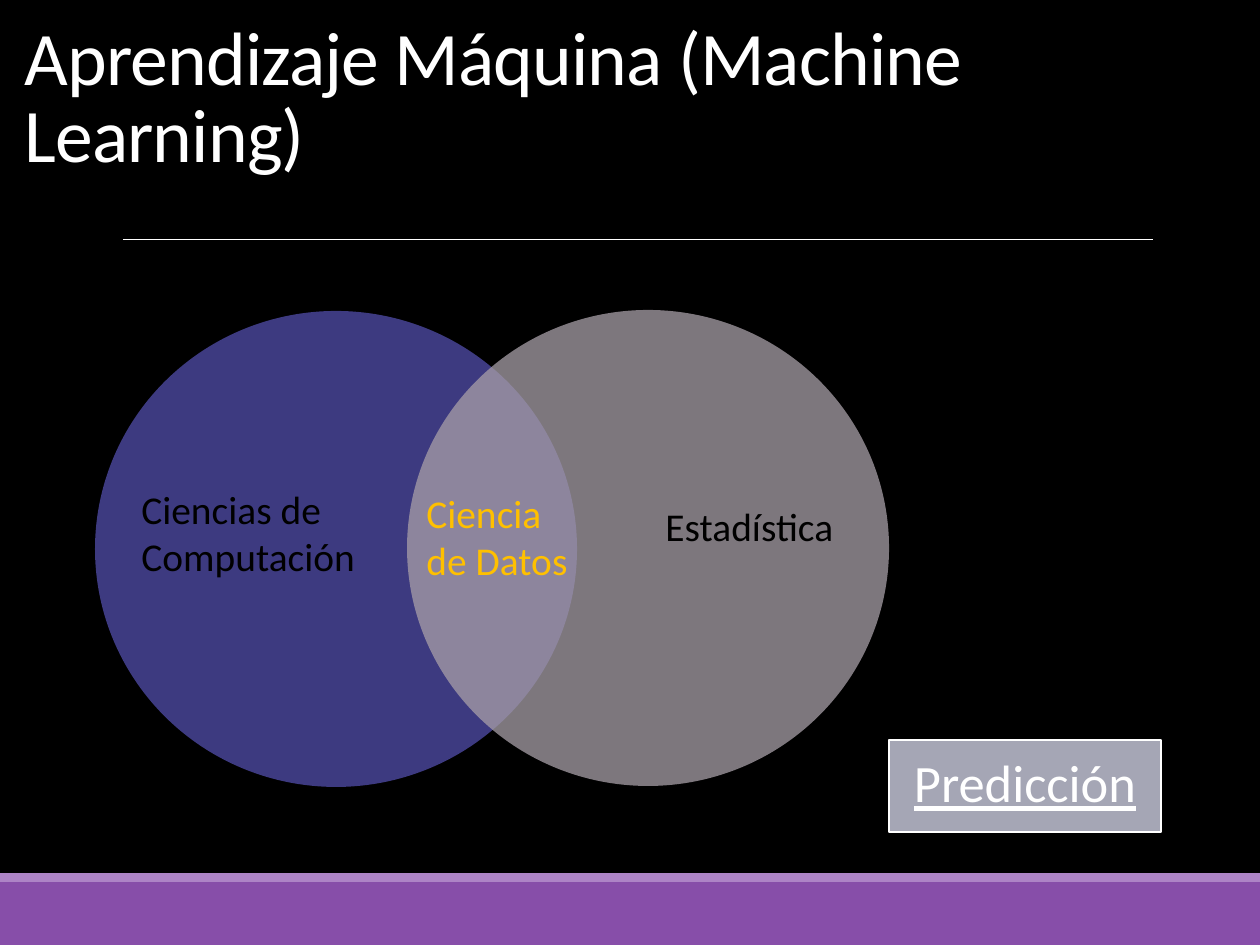
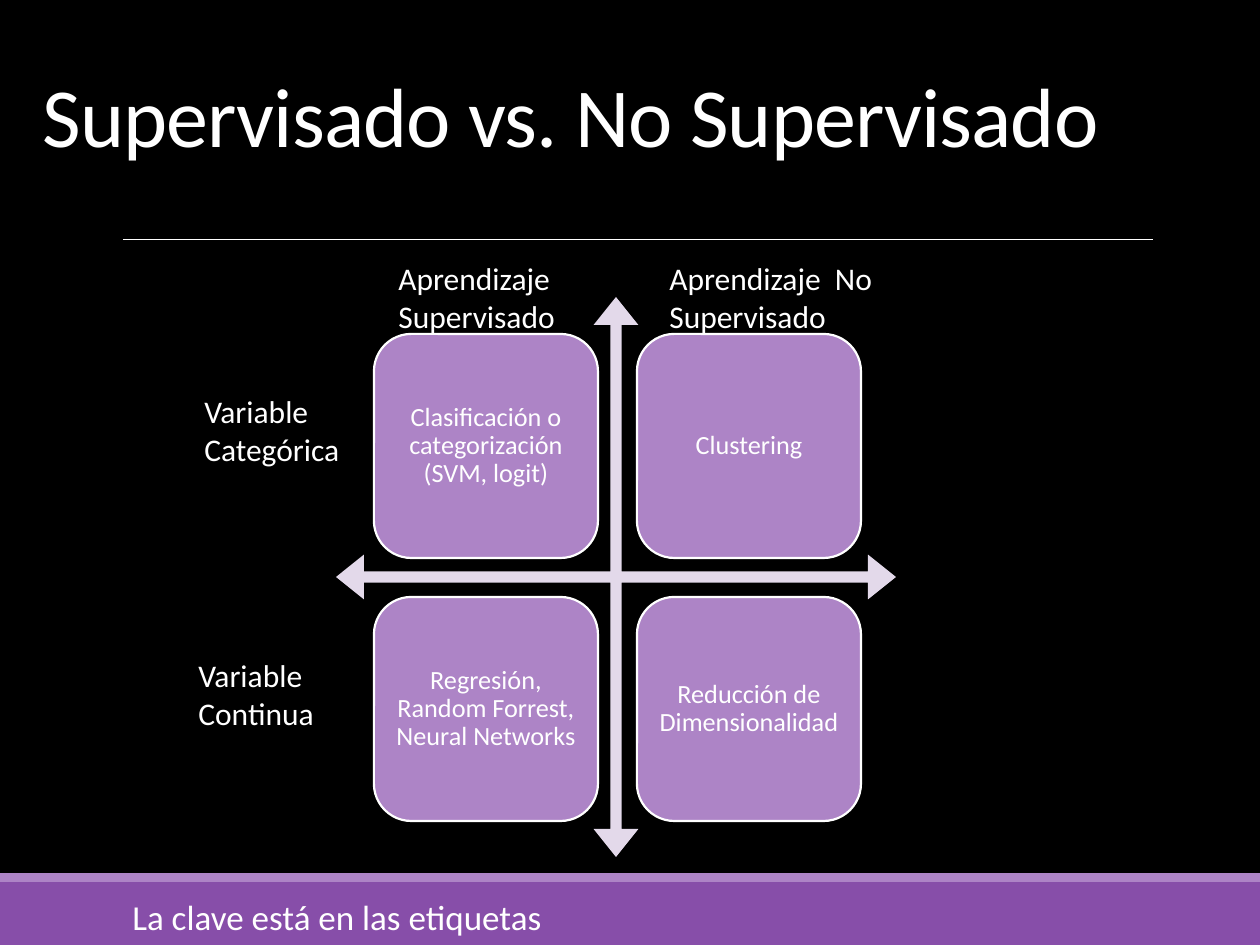
import pptx
import pptx.dml.color
import pptx.enum.dml
import pptx.enum.shapes
import pptx.enum.text
import pptx.oxml.ns
import pptx.util
from lxml import etree

RGB = pptx.dml.color.RGBColor
BLACK = RGB(0x00, 0x00, 0x00)
WHITE = RGB(0xFF, 0xFF, 0xFF)
GOLD = RGB(0xFF, 0xC0, 0x00)
PURPLE = RGB(0x87, 0x4E, 0xA9)
LILAC = RGB(0xAD, 0x84, 0xC6)
PALE = RGB(0xE3, 0xD9, 0xEA)
INDIGO = RGB(0x52, 0x4E, 0xAB)
GREY = RGB(0xA8, 0x9F, 0xA8)
STEEL = RGB(0xA5, 0xA6, 0xB5)

FONT = "Calibri"
SCALE = 914400 / 126
WIDE, HIGH = 1260, 945
KIND = pptx.enum.shapes.MSO_SHAPE
ALIGN = pptx.enum.text.PP_ALIGN
ANCHOR = pptx.enum.text.MSO_ANCHOR
FIT = pptx.enum.text.MSO_AUTO_SIZE
SIDES = ("margin_left", "margin_top", "margin_right", "margin_bottom")


def px(num):
    return pptx.util.Emu(round(num * SCALE))


def apply(item, values):
    for name, value in values.items():
        setattr(item, name, value)


def place(item, box):
    apply(item, dict(zip(("left", "top", "width", "height"), map(px, box))))


def write(shape, text, size, color, frame, para, **font):
    body = shape.text_frame
    body.text = text
    apply(body, {"word_wrap": True, **frame})
    line = body.paragraphs[0]
    apply(line, para)
    run = line.runs[0]
    apply(run.font, {"name": FONT, "size": pptx.util.Pt(size), **font})
    run.font.color.rgb = color
    return run


def draw(slide, kind, box, fill, edge=None):
    shape = slide.shapes.add_shape(kind, *map(px, box))
    shape.shadow.inherit = False
    shape.fill.solid()
    shape.fill.fore_color.rgb = fill
    if edge is None:
        shape.line.fill.background()
    else:
        shape.line.color.rgb = edge
        shape.line.width = pptx.util.Pt(1.25)
    return shape


def disc(slide, box, fill):
    shape = draw(slide, KIND.OVAL, box, fill)
    color = shape.fill._xPr.find(".//" + pptx.oxml.ns.qn("a:srgbClr"))
    etree.SubElement(color, pptx.oxml.ns.qn("a:alpha"), val="75000")


def label(slide, box, text, size, color=WHITE):
    shape = slide.shapes.add_textbox(*map(px, box))
    write(shape, text, size, color, {"auto_size": FIT.SHAPE_TO_FIT_TEXT},
          {"alignment": ALIGN.LEFT})


def panel(slide, kind, box, fill, text, size, inset, align, **font):
    shape = draw(slide, kind, box, fill, WHITE)
    frame = dict(zip(SIDES, map(px, inset)), vertical_anchor=ANCHOR.MIDDLE)
    write(shape, text, size, WHITE, frame,
          {"alignment": align, "line_spacing": 0.9}, **font)


def rule(slide, start, end):
    line = slide.shapes.add_connector(
        pptx.enum.shapes.MSO_CONNECTOR.STRAIGHT, *map(px, start + end))
    line.line.color.rgb = WHITE
    line.line.width = pptx.util.Pt(0.5)
    etree.SubElement(line._element.spPr, pptx.oxml.ns.qn("a:effectLst"))


def start(deck, text, box, size):
    slide = deck.slides.add_slide(deck.slide_layouts[5])
    slide.background.fill.solid()
    slide.background.fill.fore_color.rgb = BLACK
    draw(slide, KIND.RECTANGLE, (0, 882, WIDE, 63), PURPLE)
    draw(slide, KIND.RECTANGLE, (0, 873, WIDE, 9), LILAC)
    rule(slide, (123, 239), (1153, 239))
    title = slide.shapes.title
    place(title, box)
    run = write(title, text, size, WHITE,
                {"auto_size": FIT.NONE, "vertical_anchor": ANCHOR.BOTTOM},
                {"alignment": ALIGN.LEFT, "line_spacing": 0.85})
    run._r.get_or_add_rPr().set("spc", "-50")
    return slide


def venn(deck):
    slide = start(deck, "Aprendizaje Máquina (Machine Learning)",
                  (12, 47, 1237, 137), 43.2)
    disc(slide, (95, 311, 482, 476), INDIGO)
    disc(slide, (407, 310, 482, 476), GREY)
    for box, text, color in (
        ((129, 479, 242, 108), "Ciencias de Computación", BLACK),
        ((653, 496, 220, 60), "Estadística", BLACK),
        ((414, 483, 174, 108), "Ciencia de Datos", GOLD),
    ):
        label(slide, box, text, 22.5, color)
    panel(slide, KIND.RECTANGLE, (889, 740, 272, 92), STEEL, "Predicción",
          30, (25, 0, 5, 0), ALIGN.LEFT, underline=True)


def matrix(deck):
    slide = start(deck, "Supervisado vs. No Supervisado",
                  (30, 24, 1120, 147), 48)
    cross = draw(slide, KIND.QUAD_ARROW, (336, 297, 560, 560), PALE)
    for index, value in enumerate((0.02, 0.04, 0.05)):
        cross.adjustments[index] = value
    cards = ("Clasificación o categorización (SVM, logit)", "Clustering",
             "Regresión, Random Forrest, Neural Networks",
             "Reducción de Dimensionalidad")
    side, pitch = 224, 263
    for index, text in enumerate(cards):
        row, col = divmod(index, 2)
        box = (374 + col * pitch, 334 + row * pitch, side, side)
        panel(slide, KIND.ROUNDED_RECTANGLE, box, LILAC, text, 15,
              (8, 8, 8, 8), ALIGN.CENTER)
    for box, text in (
        ((386, 253, 271, 89), "Aprendizaje Supervisado"),
        ((657, 253, 229, 89), "Aprendizaje  No Supervisado"),
        ((186, 650, 166, 89), "Variable Continua"),
        ((192, 386, 179, 89), "Variable Categórica"),
    ):
        label(slide, box, text, 18)
    label(slide, (120, 889, 743, 55), "La clave está en las etiquetas", 20)


def main():
    deck = pptx.Presentation()
    apply(deck, {"slide_width": px(WIDE), "slide_height": px(HIGH)})
    venn(deck)
    matrix(deck)
    deck.save("out.pptx")


if __name__ == "__main__":
    main()
